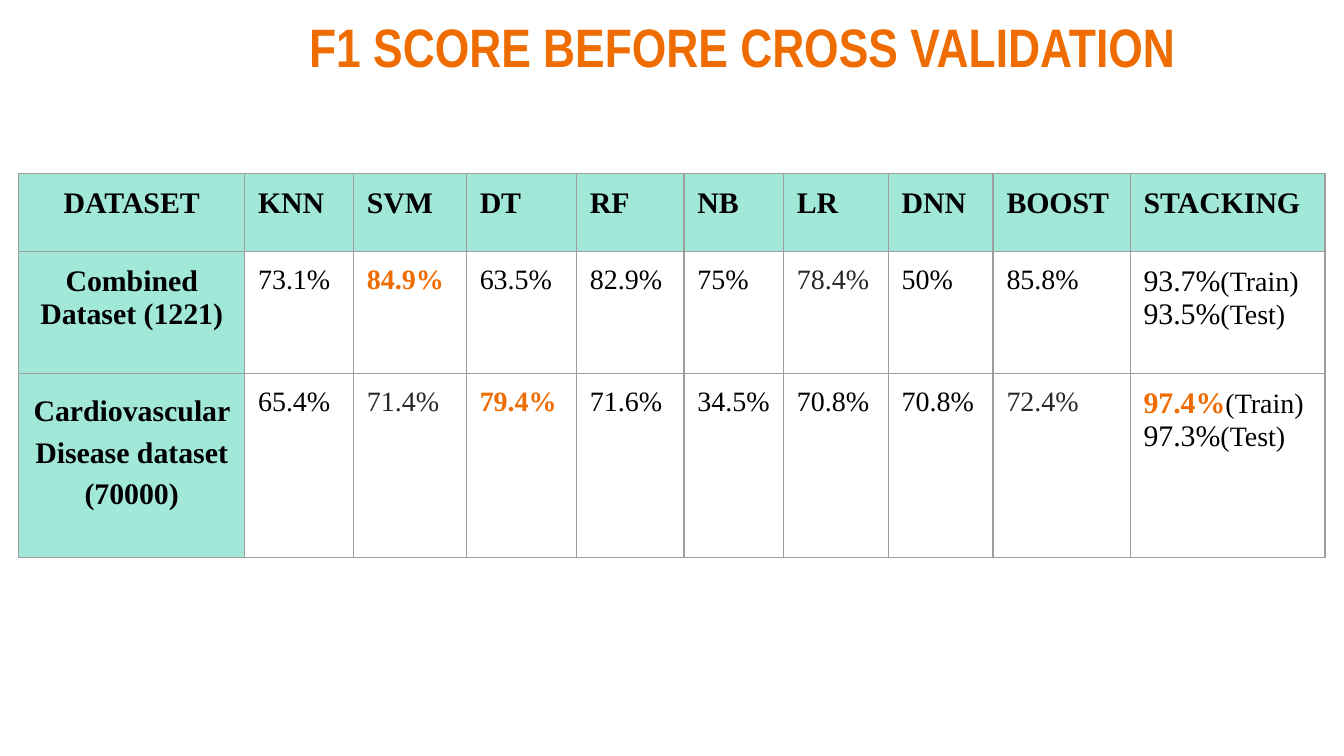
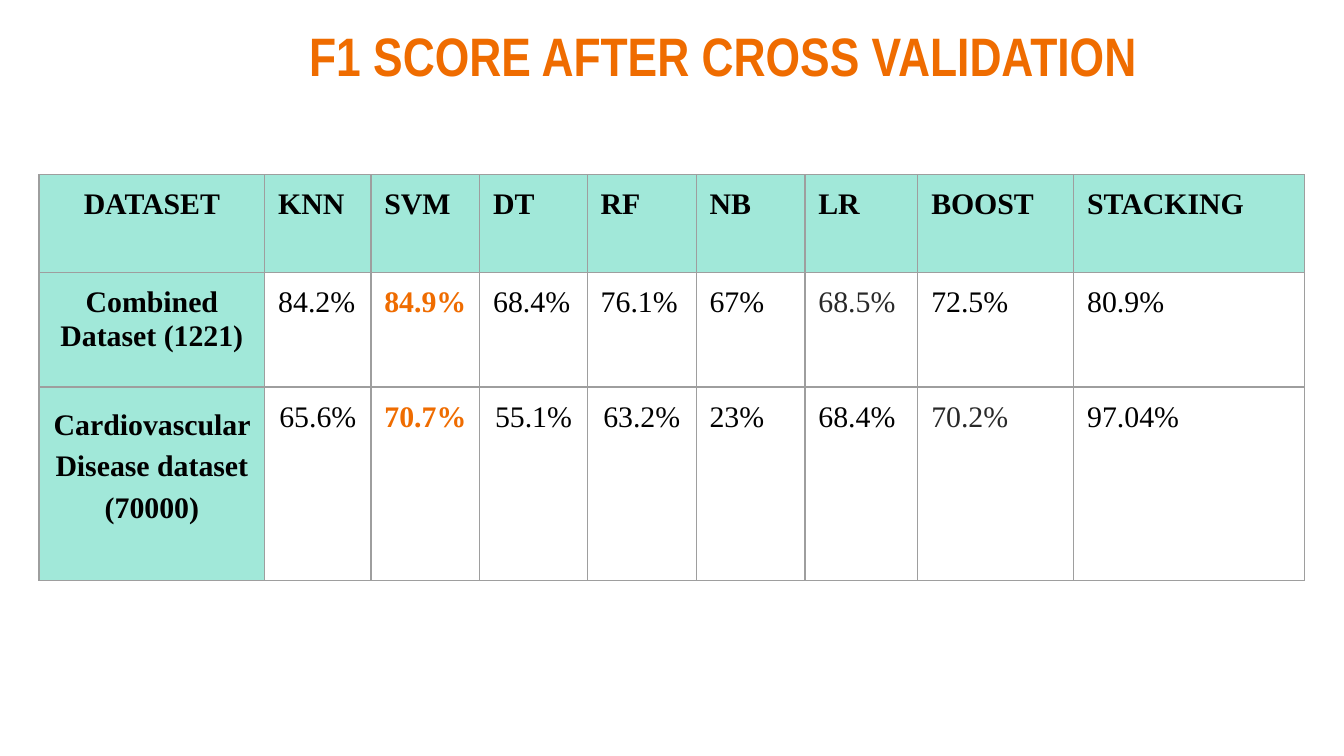
import pptx
import pptx.util
import pptx.dml.color
import pptx.enum.text
import pptx.oxml
import pptx.oxml.ns
from pptx.util import Inches

COLORS = {
    "accent": "EF6C00",
    "head": "A1E8D9",
    "text": "000000",
    "gray": "292929",
    "line": "9E9E9E",
}
MARKS = {"*": {"color": "accent", "bold": True}, "~": {"color": "gray"}}
ALIGN = pptx.enum.text.PP_ALIGN
MARGINS = ("margin_left", "margin_top", "margin_right", "margin_bottom")


class Deck:
    """Holds the style and the current slide."""

    def __init__(self):
        self.prs = pptx.Presentation()
        self.prs.slide_width = Inches(10)
        self.prs.slide_height = Inches(10) * 9 // 16
        self.slide = None

    def add(self):
        self.slide = self.prs.slides.add_slide(self.prs.slide_layouts[5])

    def font(self, font, color="text", **form):
        base = {"name": "Times New Roman", "size": 16, "bold": False}
        for key, val in {**base, **form}.items():
            setattr(font, key, pptx.util.Pt(val) if key == "size" else val)
        font.color.rgb = pptx.dml.color.RGBColor.from_string(COLORS[color])

    def inset(self, obj):
        for side in MARGINS:
            setattr(obj, side, Inches(0.1))

    def title(self, text, top):
        box = self.slide.shapes.title
        place = {"left": 0.09, "top": top, "width": 9.82, "height": 0.69}
        for key, val in place.items():
            setattr(box, key, Inches(val))
        frame = box.text_frame
        self.inset(frame)
        frame.margin_left = Inches(2.21)
        frame.word_wrap = True
        frame.auto_size = pptx.enum.text.MSO_AUTO_SIZE.SHAPE_TO_FIT_TEXT
        frame.vertical_anchor = pptx.enum.text.MSO_ANCHOR.TOP
        para = frame.paragraphs[0]
        para.alignment = ALIGN.LEFT
        run = para.add_run()
        run.text = text
        self.font(run.font, "accent", name="Arial Narrow", size=29, bold=True)

    def border(self, cell):
        props = cell._tc.get_or_add_tcPr()
        for pos, side in enumerate("LRTB"):
            props.insert(pos, pptx.oxml.parse_xml(
                f'<a:ln{side} {pptx.oxml.ns.nsdecls("a")} w="9525"><a:solidFill>'
                f'<a:srgbClr val="{COLORS["line"]}"/></a:solidFill></a:ln{side}>'))

    def label(self, cell, text):
        cell.fill.solid()
        cell.fill.fore_color.rgb = pptx.dml.color.RGBColor.from_string(COLORS["head"])
        run = cell.text_frame.paragraphs[0].add_run()
        run.text = text
        self.font(run.font, bold=True)

    def value(self, cell, text, size):
        """One line per paragraph; a mark in front sets the style of the figure."""
        cell.fill.background()
        frame = cell.text_frame
        for pos, line in enumerate(text.split("\n")):
            para = frame.add_paragraph() if pos else frame.paragraphs[0]
            form = MARKS.get(line[0], {})
            num, sep, note = line.lstrip("*~").partition("(")
            run = para.add_run()
            run.text = num
            self.font(run.font, **form, size=16 if sep else size)
            if sep:
                run = para.add_run()
                run.text = sep + note
                self.font(run.font, size=15)

    def table(self, left, top, cols, rows, data, size):
        grid = self.slide.shapes.add_table(
            len(rows), len(cols), Inches(left), Inches(top),
            Inches(sum(cols)), Inches(sum(rows))).table
        grid.horz_banding = False
        for col, wide in zip(grid.columns, cols):
            col.width = Inches(wide)
        for row, high in zip(grid.rows, rows):
            row.height = Inches(high)
        for r, line in enumerate(data):
            for c, text in enumerate(line):
                cell = grid.cell(r, c)
                self.inset(cell)
                if r == 0 or c == 0:
                    self.label(cell, text)
                else:
                    self.value(cell, text, size)
                self.border(cell)
                if c == 0:
                    cell.text_frame.paragraphs[0].alignment = ALIGN.CENTER
        grid.cell(2, 0).text_frame.paragraphs[0].line_spacing = 1.25
        return grid


SETS = ["Combined Dataset (1221)", "Cardiovascular Disease dataset (70000)"]


def main():
    deck = Deck()

    # Scores before cross validation
    deck.add()
    deck.title("F1 SCORE BEFORE CROSS VALIDATION", 0)
    deck.table(
        0.14, 1.29,
        [1.68, 0.81, 0.84, 0.82, 0.8, 0.74, 0.78, 0.78, 1.02, 1.45],
        [0.58, 0.91, 1.37],
        [["DATASET", "KNN", "SVM", "DT", "RF", "NB", "LR", "DNN", "BOOST", "STACKING"],
         [SETS[0], "73.1%", "*84.9%", "63.5%", "82.9%", "75%", "~78.4%", "50%",
          "85.8%", "93.7%(Train)\n93.5%(Test)"],
         [SETS[1], "65.4%", "~71.4%", "*79.4%", "71.6%", "34.5%", "70.8%", "70.8%",
          "~72.4%", "*97.4%(Train)\n97.3%(Test)"]],
        15)

    # Scores after cross validation
    deck.add()
    deck.title("F1 SCORE AFTER CROSS VALIDATION", 0.07)
    grid = deck.table(
        0.29, 1.3,
        [1.68, 0.79, 0.81, 0.8, 0.81, 0.81, 0.84, 1.16, 1.72],
        [0.73, 0.85, 1.44],
        [["DATASET", "KNN", "SVM", "DT", "RF", "NB", "LR", "BOOST", "STACKING"],
         [SETS[0], "84.2%", "*84.9%", "68.4%", "76.1%", "67%", "~68.5%", "72.5%",
          "80.9%"],
         [SETS[1], "65.6%", "*70.7%", "55.1%", "63.2%", "23%", "68.4%", "~70.2%",
          "97.04%"]],
        16)
    grid.cell(2, 0).text_frame.paragraphs[0].space_after = pptx.util.Pt(6)
    for c in range(1, 5):
        grid.cell(2, c).text_frame.paragraphs[0].alignment = ALIGN.CENTER

    deck.prs.save("out.pptx")


if __name__ == "__main__":
    main()
